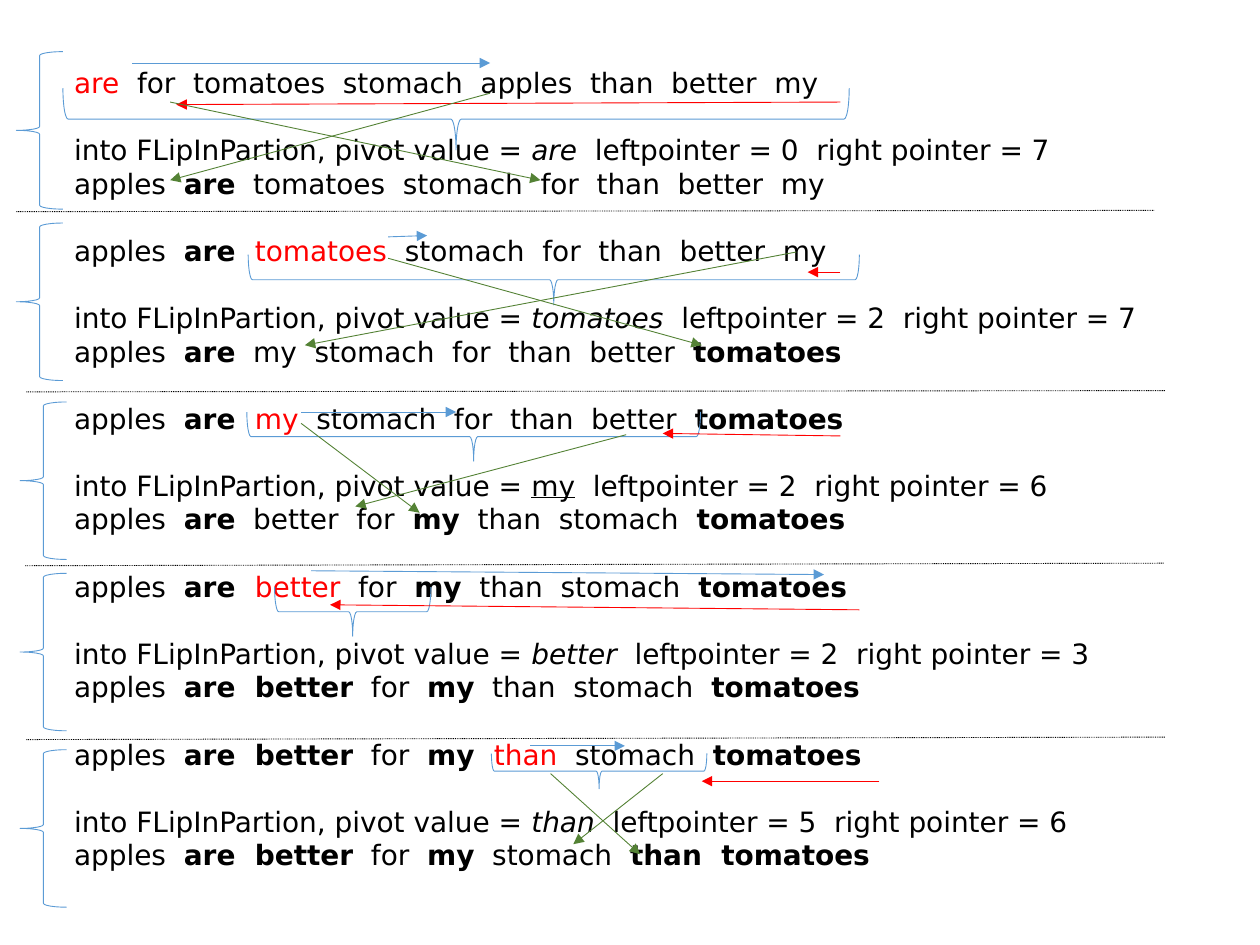
import pptx
import pptx.util
import pptx.dml.color
import pptx.enum.dml
import pptx.enum.shapes
import pptx.enum.text
import lxml.etree

FONT, SIZE, LINE_PITCH = "DejaVu Sans", 16, 19.2
BLACK, RED, BLUE, GREEN = "000000", "FF0000", "5B9BD5", "548235"
TEXT_BOX = (0.49, 0.47, 8.96, 7.1)
STEP_BRACE_SIZE = (0.37, 1.25)

# Runs are (text, style): b bold, i italic, u underlined, r red.
# Lines are (x1, y1, x2, y2); a range is (left, right, top, depth).
STEPS = [
    {
        "before": [("are  ", "r"), ("for  tomatoes  stomach  apples  than  better  my", "")],
        "pivot": [("are  ", "i"), ("leftpointer = 0  right pointer = 7", "")],
        "after": [("apples  ", ""), ("are", "b"),
                  ("  tomatoes  stomach  for  than  better  my", "")],
        "brace": (0.13, 0.41), "range": (0.5, 6.74, 0.7, 0.49),
        "left_scan": (1.05, 0.5, 3.89, 0.5), "right_scan": (6.67, 0.81, 1.4, 0.83),
        "swaps": [(1.35, 0.81, 4.29, 1.43), (3.89, 0.74, 1.35, 1.43)],
    },
    {
        "before": [("apples  ", ""), ("are  ", "b"), ("tomatoes", "r"),
                   ("  stomach  for  than  better  my", "")],
        "pivot": [("tomatoes  ", "i"), ("leftpointer = 2  right pointer = 7", "")],
        "after": [("apples  ", ""), ("are", "b"),
                  ("  my  stomach  for  than  better  ", ""), ("tomatoes", "b")],
        "brace": (0.13, 1.77), "range": (1.97, 6.82, 2.02, 0.4),
        "left_scan": (3.08, 1.88, 3.39, 1.87), "right_scan": (6.67, 2.16, 6.41, 2.16),
        "swaps": [(6.32, 2, 2.42, 2.74), (3.08, 2.05, 5.57, 2.74)],
    },
    {
        "before": [("apples  ", ""), ("are  ", "b"), ("my", "r"),
                   ("  stomach  for  than  better  ", ""), ("tomatoes", "b")],
        "pivot": [("my", "u"), ("  leftpointer = 2  right pointer = 6", "")],
        "after": [("apples  ", ""), ("are", "b"), ("  better  for  ", ""), ("my", "b"),
                  ("  than  stomach  ", ""), ("tomatoes", "b")],
        "brace": (0.16, 3.19), "range": (1.96, 5.56, 3.27, 0.39),
        "left_scan": (2.39, 3.27, 3.62, 3.27), "right_scan": (6.67, 3.46, 5.26, 3.44),
        "swaps": [(4.97, 3.45, 2.82, 4.02), (2.39, 3.36, 3.33, 4.07)],
    },
    {
        "before": [("apples  ", ""), ("are  ", "b"), ("better", "r"), ("  for  ", ""),
                   ("my", "b"), ("  than  stomach  ", ""), ("tomatoes", "b")],
        "pivot": [("better  ", "i"), ("leftpointer = 2  right pointer = 3", "")],
        "after": [("apples  ", ""), ("are  better", "b"), ("  for  ", ""), ("my", "b"),
                  ("  than  stomach  ", ""), ("tomatoes", "b")],
        "brace": (0.16, 4.55), "range": (2.18, 3.42, 4.66, 0.39),
        "left_scan": (2.47, 4.53, 6.54, 4.56), "right_scan": (6.82, 4.84, 2.62, 4.8),
        "swaps": [],
    },
    {
        "before": [("apples  ", ""), ("are  better", "b"), ("  for  ", ""), ("my  ", "b"),
                   ("than", "r"), ("  stomach  ", ""), ("tomatoes", "b")],
        "pivot": [("than  ", "i"), ("leftpointer = 5  right pointer = 6", "")],
        "after": [("apples  ", ""), ("are  better", "b"), ("  for  ", ""), ("my", "b"),
                  ("  stomach  ", ""), ("than  tomatoes", "b")],
        "brace": (0.16, 5.95), "range": (3.9, 5.61, 5.98, 0.28),
        "left_scan": (4.21, 5.92, 4.96, 5.92), "right_scan": (6.98, 6.2, 5.57, 6.2),
        "swaps": [(5.26, 6.14, 4.55, 6.7), (4.37, 6.14, 5.08, 6.78)],
    },
]
DIVIDERS = [(0.13, 1.68, 9.16, 1.67), (0.21, 3.11, 9.25, 3.1),
            (0.2, 4.49, 9.24, 4.47), (0.21, 5.87, 9.25, 5.85)]


def rgb(color):
    return pptx.dml.color.RGBColor.from_string(color)


def inches(values):
    return [pptx.util.Inches(value) for value in values]


def style_line(line, color):
    line.color.rgb = rgb(color)
    line.width = pptx.util.Pt(0.5)


def add_line(slide, ends, color):
    connector = slide.shapes.add_connector(
        pptx.enum.shapes.MSO_CONNECTOR.STRAIGHT, *inches(ends))
    style_line(connector.line, color)
    lxml.etree.SubElement(connector.element.spPr, pptx.oxml.ns.qn("a:effectLst"))
    return connector


def add_arrow(slide, ends, color):
    arrow = add_line(slide, ends, color)
    lxml.etree.SubElement(arrow.line._get_or_add_ln(),
                          pptx.oxml.ns.qn("a:tailEnd"), type="triangle")


def add_divider(slide, ends):
    divider = add_line(slide, ends, BLACK)
    divider.line.dash_style = pptx.enum.dml.MSO_LINE.ROUND_DOT


def add_brace(slide, left, top, width, height, rotation=0):
    brace = slide.shapes.add_shape(pptx.enum.shapes.MSO_SHAPE.LEFT_BRACE,
                                   *inches((left, top, width, height)))
    brace.rotation = rotation
    brace.shadow.inherit = False
    brace.fill.background()
    style_line(brace.line, BLUE)


def add_range_brace(slide, left, right, top, depth):
    """Lay a left brace on its side, its point down, under a range of words."""
    span = right - left
    add_brace(slide, (left + right - depth) / 2, top + (depth - span) / 2,
              depth, span, 270)


def write_words(paragraph, words, gap_above):
    if gap_above:
        paragraph.space_before = pptx.util.Pt(LINE_PITCH)
    for text, style in words:
        run = paragraph.add_run()
        run.text = text
        font = run.font
        font.name, font.size = FONT, pptx.util.Pt(SIZE)
        font.color.rgb = rgb(RED if style == "r" else BLACK)
        font.bold, font.italic, font.underline = (style == mark for mark in "biu")


def add_steps_text(slide):
    frame = slide.shapes.add_textbox(*inches(TEXT_BOX)).text_frame
    frame.word_wrap = True
    frame.auto_size = pptx.enum.text.MSO_AUTO_SIZE.SHAPE_TO_FIT_TEXT
    for number, step in enumerate(STEPS):
        call = [("into FLipInPartion, pivot value = ", "")] + step["pivot"]
        first = frame.add_paragraph() if number else frame.paragraphs[0]
        write_words(first, step["before"], number > 0)
        write_words(frame.add_paragraph(), call, True)
        write_words(frame.add_paragraph(), step["after"], False)


def main():
    deck = pptx.Presentation()
    deck.slide_width, deck.slide_height = inches((10, 7.5))
    slide = deck.slides.add_slide(deck.slide_layouts[6])
    add_steps_text(slide)
    for step in STEPS:
        add_brace(slide, *step["brace"], *STEP_BRACE_SIZE)
        add_range_brace(slide, *step["range"])
        add_arrow(slide, step["left_scan"], BLUE)
        add_arrow(slide, step["right_scan"], RED)
        for swap in step["swaps"]:
            add_arrow(slide, swap, GREEN)
    for ends in DIVIDERS:
        add_divider(slide, ends)
    deck.save("out.pptx")


if __name__ == "__main__":
    main()
